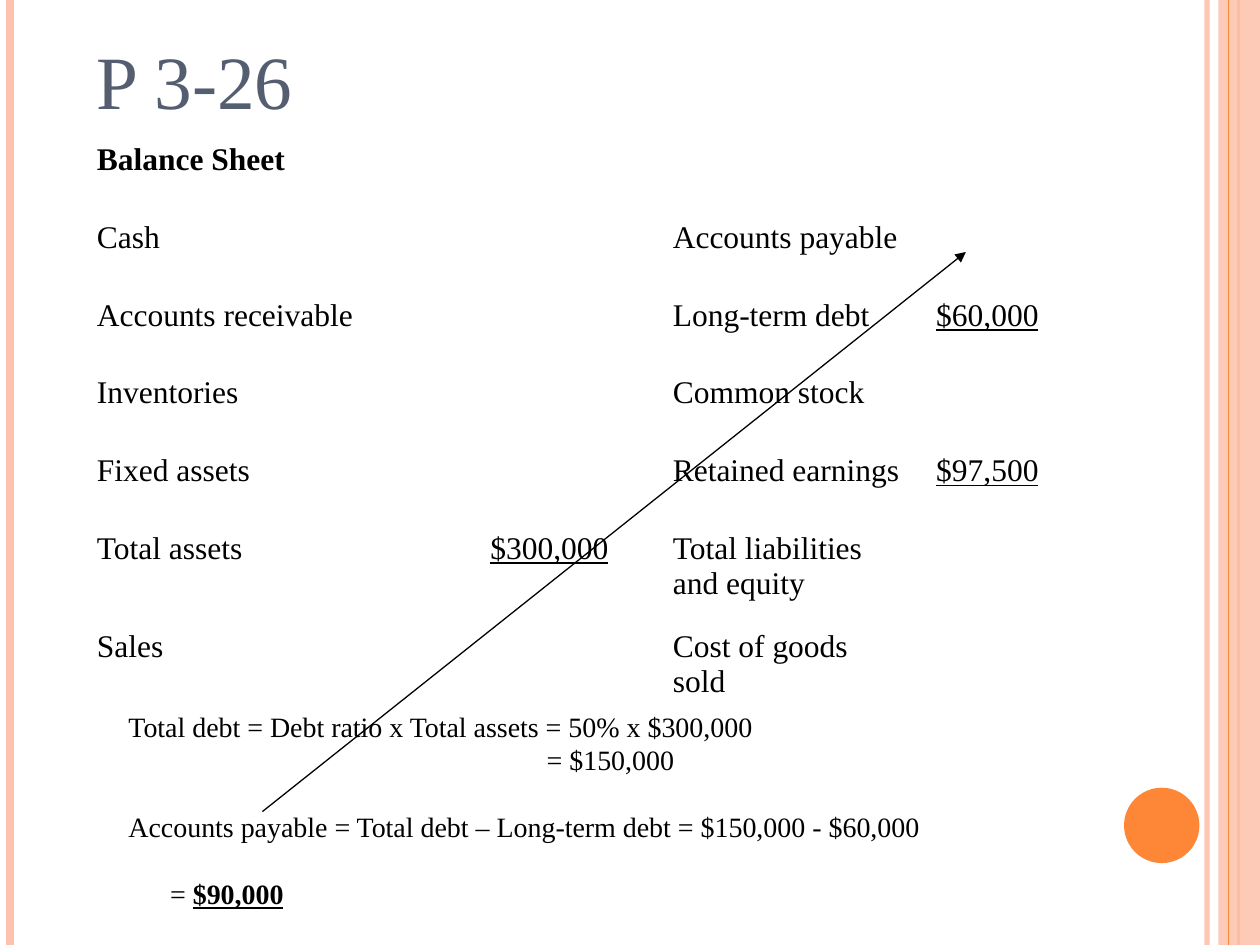
from lxml.etree import SubElement
from pptx import Presentation
from pptx.dml.color import RGBColor
from pptx.enum.shapes import MSO_CONNECTOR as CONN, MSO_SHAPE as SHAPE
from pptx.enum.text import MSO_ANCHOR as ANCHOR, MSO_AUTO_SIZE as FIT, PP_ALIGN as ALIGN
from pptx.oxml.ns import qn
from pptx.util import Cm, Pt

FONT = "Times New Roman"
COLORS = {"peach": "FEC3AE", "orange": "FE8637", "title": "545E70", "text": "000000"}
SLIDE_W, SLIDE_H = 25.4, 19.05

TITLE = "P 3-26"
BALANCE = [
    ("Balance Sheet", "", "", "", ""),
    ("Cash", "", "", "Accounts payable", ""),
    ("Accounts receivable", "", "", "Long-term debt", "$60,000"),
    ("Inventories", "", "", "Common stock", ""),
    ("Fixed assets", "", "", "Retained earnings", "$97,500"),
    ("Total assets", "$300,000", "", "Total liabilities and equity", ""),
    ("Sales", "", "", "Cost of goods sold", ""),
]
COL_WIDTHS = (7.62, 3.2, 0.79, 5.21, 2.67)
ROW_HEIGHT, TALL_ROW_HEIGHT, TALL_ROW = 1.57, 1.98, 5

# (indent in cm, points before, [(text, is answer)])
WORKING = [
    (0, 0, [("Total debt = Debt ratio x Total assets = 50% x $300,000", False)]),
    (8.43, 0, [("= $150,000", False)]),
    (0, 19.2, [("Accounts payable = Total debt – Long-term debt = $150,000 - $60,000", False)]),
    (0.84, 19.2, [("= ", False), ("$90,000", True)]),
]

# (x in cm, width in points, colour, opacity in percent)
STRIPES_BELOW = [(24.33, 3, "peach", 93), (0.21, 4.5, "peach", 100), (24.97, 1.5, "orange", 100)]
STRIPES_ABOVE = [(24.77, 0.75, "orange", 100)]


def rgb(name):
    return RGBColor.from_string(COLORS[name])


def set_opacity(fill, percent):
    color = fill._xPr.find(f"{qn('a:solidFill')}/{qn('a:srgbClr')}")
    SubElement(color, qn("a:alpha"), val=str(percent * 1000))


def add_run(p, text, size, color="text", bold=False, underline=False):
    r = p.add_run()
    r.text = text
    r.font.name, r.font.size = FONT, Pt(size)
    r.font.color.rgb = rgb(color)
    r.font.bold, r.font.underline = bold, underline


def add_line(slide, start, end, width, color, opacity=100):
    line = slide.shapes.add_connector(CONN.STRAIGHT, *map(Cm, start + end))
    line.line.width = Pt(width)
    line.line.color.rgb = rgb(color)
    if opacity < 100:
        set_opacity(line.line.fill, opacity)
    SubElement(line._element.spPr, qn("a:effectLst"))
    return line


def add_stripes(slide, stripes):
    for x, width, color, opacity in stripes:
        add_line(slide, (x, 0), (x, SLIDE_H), width, color, opacity)


def add_block(slide, preset, box, color, opacity=100):
    sp = slide.shapes.add_shape(preset, *map(Cm, box))
    sp.shadow.inherit = False
    sp.fill.solid()
    sp.fill.fore_color.rgb = rgb(color)
    if opacity < 100:
        set_opacity(sp.fill, opacity)
    sp.line.fill.background()


def add_title(slide):
    sp = slide.shapes.title
    sp.left, sp.top, sp.width, sp.height = map(Cm, (1.7, 0.43, 20.83, 2.21))
    tf = sp.text_frame
    tf.auto_size, tf.vertical_anchor = FIT.NONE, ANCHOR.BOTTOM
    p = tf.paragraphs[0]
    p.alignment = ALIGN.LEFT
    add_run(p, TITLE, 43, "title")


def add_balance_sheet(slide):
    heights = [TALL_ROW_HEIGHT if i == TALL_ROW else ROW_HEIGHT for i in range(len(BALANCE))]
    table = slide.shapes.add_table(
        len(BALANCE), len(COL_WIDTHS), Cm(1.7), Cm(2.74), Cm(sum(COL_WIDTHS)), Cm(sum(heights))
    ).table
    table.first_row = table.horz_banding = False
    for col, width in zip(table.columns, COL_WIDTHS):
        col.width = Cm(width)
    for i, (row, height, texts) in enumerate(zip(table.rows, heights, BALANCE)):
        row.height = Cm(height)
        for cell, text in zip(row.cells, texts):
            cell.fill.background()
            if text:
                is_amount = text.startswith("$")
                p = cell.text_frame.paragraphs[0]
                p.alignment = ALIGN.RIGHT if is_amount else ALIGN.LEFT
                add_run(p, text, 18, bold=i == 0, underline=is_amount)


def add_working(slide):
    tf = slide.shapes.add_textbox(*map(Cm, (2.34, 14.17, 18.42, 4.37))).text_frame
    tf.word_wrap = True
    for i, (indent, before, runs) in enumerate(WORKING):
        p = tf.add_paragraph() if i else tf.paragraphs[0]
        p.line_spacing, p.space_before = Pt(19.2), Pt(before)
        p._p.get_or_add_pPr().set("marL", str(Cm(indent)))
        for text, is_answer in runs:
            add_run(p, text, 16, bold=is_answer, underline=is_answer)


def main():
    prs = Presentation()
    prs.slide_width, prs.slide_height = Cm(SLIDE_W), Cm(SLIDE_H)
    slide = prs.slides.add_slide(prs.slide_layouts[5])
    add_stripes(slide, STRIPES_BELOW)
    add_block(slide, SHAPE.RECTANGLE, (24.56, 0, 0.84, SLIDE_H), "peach", 87)
    add_stripes(slide, STRIPES_ABOVE)
    add_block(slide, SHAPE.OVAL, (22.66, 15.88, 1.52, 1.52), "orange")
    add_title(slide)
    add_balance_sheet(slide)
    add_working(slide)
    arrow = add_line(slide, (5.29, 16.36), (19.47, 5.08), 0.75, "text")
    SubElement(arrow.line._get_or_add_ln(), qn("a:tailEnd"), type="triangle")
    prs.save("out.pptx")


if __name__ == "__main__":
    main()
